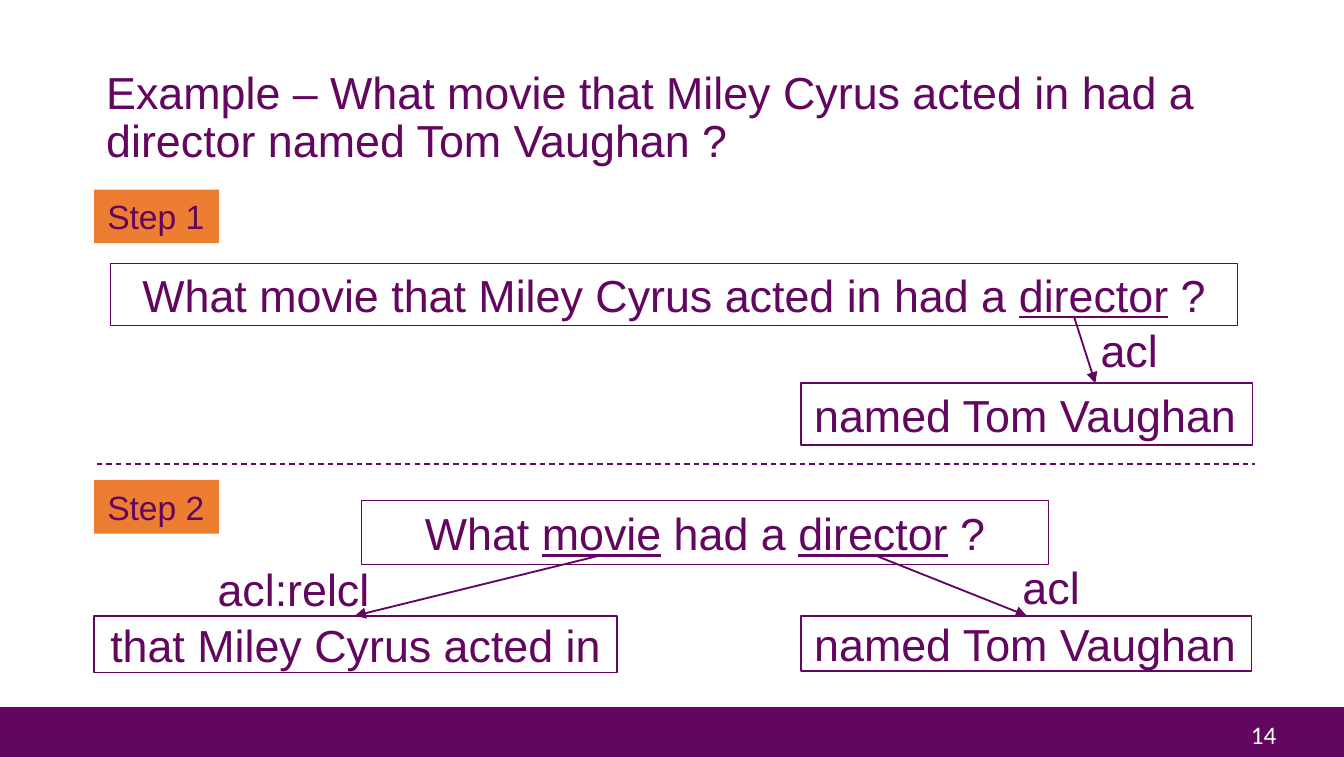
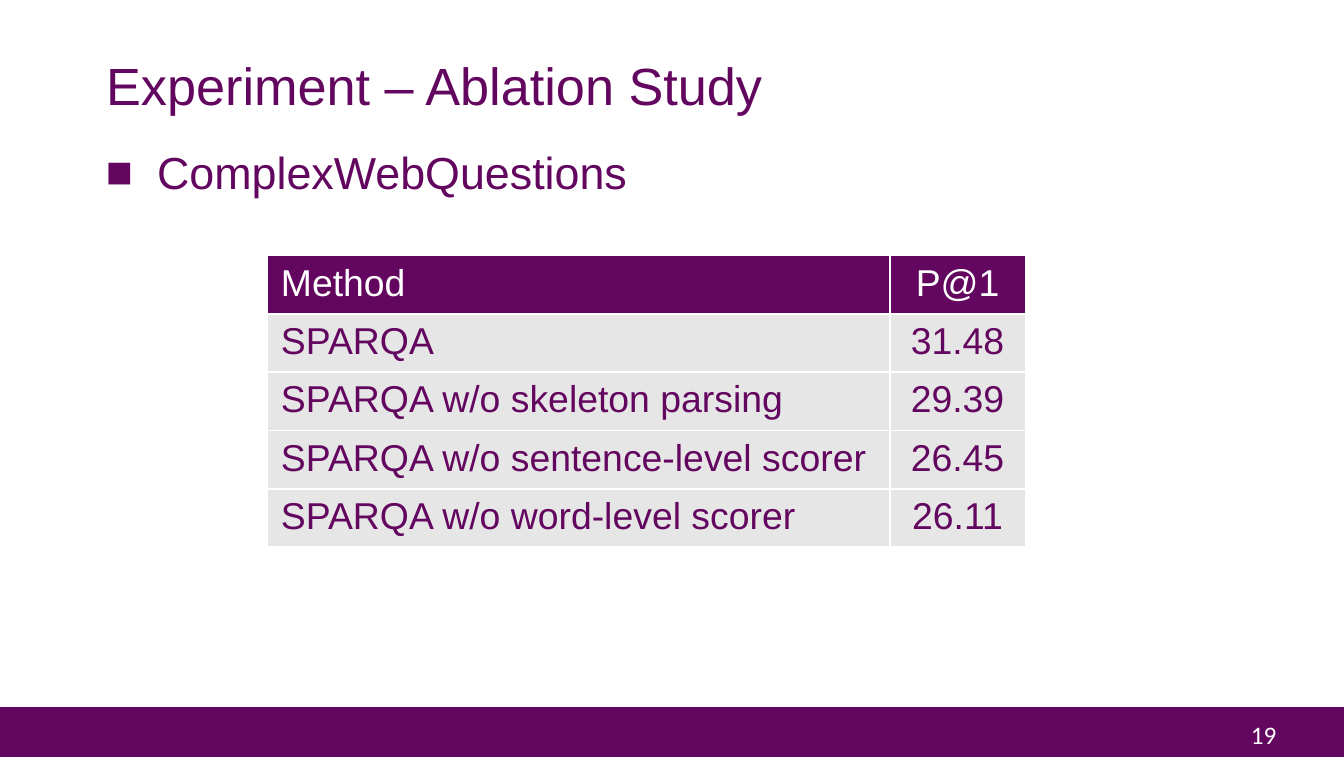
from lxml.etree import SubElement
from pptx import Presentation
from pptx.dml.color import RGBColor
from pptx.enum.dml import MSO_LINE as Dash
from pptx.enum.shapes import MSO_CONNECTOR as Conn, MSO_SHAPE as Shape
from pptx.enum.text import MSO_ANCHOR as Anchor, MSO_AUTO_SIZE as Auto, PP_ALIGN as Align
from pptx.oxml.ns import qn
from pptx.util import Inches, Pt

PLUM, WHITE, GREY, ORANGE = "63065F", "FFFFFF", "E7E6E6", "ED7D31"
LEFT, MID = Align.LEFT, Align.CENTER

STEPS = [("Step 1", 1.41), ("Step 2", 3.57)]
BOXES = [
    ([("What movie that Miley Cyrus acted in had a ", False), ("director", True), (" ?", False)],
     (0.82, 1.96, 8.39, 0.46), MID),
    ([("named Tom Vaughan", False)], (5.96, 2.85, 3.36, 0.46), LEFT),
    ([("What ", False), ("movie", True), (" had a ", False), ("director", True), (" ?", False)],
     (2.69, 3.72, 5.11, 0.48), MID),
    ([("that Miley Cyrus acted in", False)], (0.7, 4.58, 3.89, 0.42), MID),
    ([("named Tom Vaughan", False)], (5.96, 4.58, 3.35, 0.41), LEFT),
]
LABELS = [
    ("acl", (8.09, 2.35, 0.68, 0.5)),
    ("acl", (7.51, 4.11, 0.83, 0.5)),
    ("acl:relcl", (1.52, 4.13, 1.59, 0.5)),
]
ARROWS = [
    (7.99, 2.35, 8.15, 2.85),
    (4.47, 4.13, 2.64, 4.58),
    (6.51, 4.13, 7.64, 4.58),
]
SPLIT = (0.72, 3.45, 9.34, 3.45)

ROWS = [
    ("Method", "P@1"),
    ("SPARQA", "31.48"),
    ("SPARQA w/o skeleton parsing", "29.39"),
    ("SPARQA w/o sentence-level scorer", "26.45"),
    ("SPARQA w/o word-level scorer", "26.11"),
]
COLS = [(4.63, LEFT), (1.01, MID)]
ROW_H = 0.41


def rgb(code):
    """Return the colour for a hex string."""
    return RGBColor.from_string(code)


def place(at):
    """Turn numbers into lengths in inches."""
    return [Inches(n) for n in at]


def write(frame, runs, size=24, color=PLUM, face="Arial", para=None, **form):
    """Fill a text frame with one paragraph of (text, underline) runs."""
    for key, val in {"word_wrap": True, **form}.items():
        setattr(frame, key, val)
    line = frame.paragraphs[0]
    for key, val in {"alignment": LEFT, **(para or {})}.items():
        setattr(line, key, val)
    for text, under in runs:
        run = line.add_run()
        run.text = text
        look = {"size": Pt(size), "name": face, "bold": False, "underline": under}
        for key, val in look.items():
            setattr(run.font, key, val)
        run.font.color.rgb = rgb(color)
    return line


def block(slide, at, fill, edge=None):
    """Add a filled rectangle, with an edge if a colour is given."""
    box = slide.shapes.add_shape(Shape.RECTANGLE, *place(at))
    box.shadow.inherit = False
    box.fill.solid()
    box.fill.fore_color.rgb = rgb(fill)
    if edge:
        box.line.color.rgb = rgb(edge)
        box.line.width = Pt(0.75)
    else:
        box.line.fill.background()
    return box


def label(slide, text, at, **form):
    """Add a text box and return its paragraph."""
    box = slide.shapes.add_textbox(*place(at))
    return write(box.text_frame, [(text, False)], **form)


def link(slide, ends, width, dash=None, head=False):
    """Add a straight line, dashed or with an arrowhead."""
    line = slide.shapes.add_connector(Conn.STRAIGHT, *place(ends))
    line.line.color.rgb = rgb(PLUM)
    line.line.width = Pt(width)
    if dash:
        line.line.dash_style = dash
    if head:
        SubElement(line.line._get_or_add_ln(), qn("a:tailEnd"), type="triangle")
    SubElement(line._element.spPr, qn("a:effectLst"))


def start(deck, title, page, high, size):
    """Add a slide with its band, page number and title."""
    slide = deck.slides.add_slide(deck.slide_layouts[5])
    block(slide, (0, 5.26, 10, 0.37), PLUM)
    label(slide, page, (9.21, 5.3, 0.43, 0.33), size=13.5, color=WHITE,
          face="Calibri", word_wrap=False)
    head = slide.shapes.title
    head.left, head.top, head.width, head.height = place((0.69, 0.39, 8.62, high))
    write(head.text_frame, [(title, False)], size, para={"line_spacing": 0.9},
          vertical_anchor=Anchor.MIDDLE, auto_size=Auto.NONE)
    return slide


def example(deck):
    """Build the slide that splits the question in two steps."""
    slide = start(deck, "Example – What movie that Miley Cyrus acted in had a "
                  "director named Tom Vaughan ?", "14", 0.99, 24)
    for runs, at, align in BOXES:
        box = block(slide, at, WHITE, PLUM)
        write(box.text_frame, runs, para={"alignment": align},
              vertical_anchor=Anchor.MIDDLE)
    for text, at in LABELS:
        label(slide, text, at)
    for ends in ARROWS:
        link(slide, ends, 1, head=True)
    link(slide, SPLIT, 0.75, dash=Dash.DASH)
    for text, top in STEPS:
        box = block(slide, (0.7, top, 0.93, 0.4), ORANGE)
        write(box.text_frame, [(text, False)], 18, vertical_anchor=Anchor.TOP)


def study(deck):
    """Build the slide with the table of scores."""
    slide = start(deck, "Experiment – Ablation Study", "19", 0.54, 28)
    line = label(slide, "ComplexWebQuestions", (0.69, 1.07, 8.62, 3.98),
                 para={"line_spacing": 0.9, "space_before": Pt(7.5)})
    props = line._p.get_or_add_pPr()
    props.set("marL", str(Inches(0.38)))
    props.set("indent", str(Inches(-0.38)))
    tint = SubElement(props, qn("a:buClr"))
    SubElement(tint, qn("a:srgbClr"), val=PLUM)
    SubElement(props, qn("a:buFont"), typeface="Arial")
    SubElement(props, qn("a:buChar"), char="■")

    wide = sum(width for width, _ in COLS)
    at = (1.99, 1.9, wide, ROW_H * len(ROWS))
    grid = slide.shapes.add_table(len(ROWS), len(COLS), *place(at)).table
    grid.horz_banding = False
    for c, (width, align) in enumerate(COLS):
        grid.columns[c].width = Inches(width)
        for r, row in enumerate(ROWS):
            grid.rows[r].height = Inches(ROW_H)
            fill, color = (GREY, PLUM) if r else (PLUM, WHITE)
            cell = grid.cell(r, c)
            cell.fill.solid()
            cell.fill.fore_color.rgb = rgb(fill)
            write(cell.text_frame, [(row[c], False)], 20, color,
                  para={"alignment": align})


def main():
    """Build and save the deck."""
    deck = Presentation()
    deck.slide_width, deck.slide_height = place((10, 5.63))
    example(deck)
    study(deck)
    deck.save("out.pptx")


if __name__ == "__main__":
    main()
